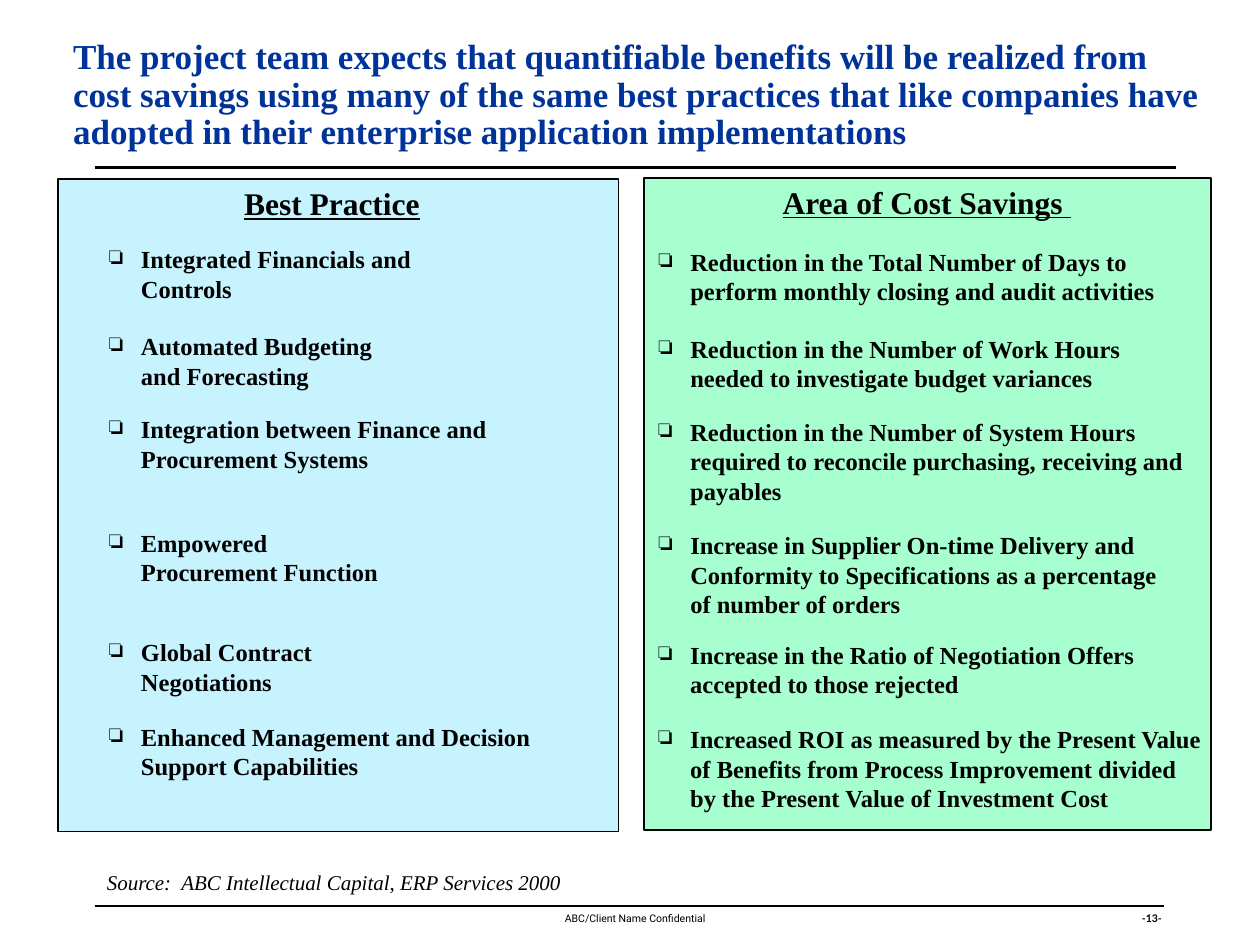
import dataclasses

import pptx
import pptx.dml.color
import pptx.enum.shapes
import pptx.enum.text
import pptx.oxml
import pptx.oxml.ns
import pptx.util

Inches = pptx.util.Inches
Pt = pptx.util.Pt
Align = pptx.enum.text.PP_ALIGN
Anchor = pptx.enum.text.MSO_ANCHOR


@dataclasses.dataclass(frozen=True)
class Theme:
    serif: str = "Times New Roman"
    footer_font: str = "Roboto"
    number_font: str = "Lato"
    ink: str = "000000"
    title_color: str = "003399"
    practice_fill: str = "C6F3FE"
    savings_fill: str = "A7FFCF"
    title_size: int = 20
    heading_size: int = 18
    body_size: int = 14
    source_size: int = 12
    footer_size: int = 6


THEME = Theme()

BENEFITS = [
    (1.89, "Integrated Financials and Controls", 2.63,
     "Reduction in the Total Number of Days to perform monthly closing and audit activities", 4.18),
    (2.58, "Automated Budgeting and Forecasting", 2.64,
     "Reduction in the Number of Work Hours needed to investigate budget variances", 4.18),
    (3.24, "Integration between Finance and Procurement Systems", 3.83,
     "Reduction in the Number of System Hours required to reconcile purchasing, "
     "receiving and payables", 4.4),
    (4.14, "Empowered Procurement Function", 2.54,
     "Increase in Supplier On-time Delivery and Conformity to Specifications "
     "as a percentage of number of orders", 4.25),
    (5.01, "Global Contract Negotiations", 2.15,
     "Increase in the Ratio of Negotiation Offers accepted to those rejected", 4.14),
    (5.68, "Enhanced Management and Decision Support Capabilities", 4.03,
     "Increased ROI as measured by the Present Value of Benefits from Process "
     "Improvement divided by the Present Value of Investment Cost", 4.56),
]


def rgb(color):
    return pptx.dml.color.RGBColor.from_string(color)


def add_bullet(paragraph, color):
    properties = paragraph._p.get_or_add_pPr()
    properties.set("marL", str(Inches(0.25)))
    properties.set("indent", str(-Inches(0.25)))
    namespace = pptx.oxml.ns.nsdecls("a")
    for xml in (
        f'<a:buClr {namespace}><a:srgbClr val="{color}"/></a:buClr>',
        f'<a:buChar {namespace} char="❏"/>',
    ):
        properties.append(pptx.oxml.parse_xml(xml))


def write_text(frame, text, size, font=THEME.serif, color=THEME.ink, bold=False,
               italic=False, underline=False, align=Align.LEFT, anchor=Anchor.TOP,
               line_spacing=None, bullet=False):
    frame.word_wrap = True
    frame.auto_size = pptx.enum.text.MSO_AUTO_SIZE.NONE
    frame.vertical_anchor = anchor
    paragraph = frame.paragraphs[0]
    paragraph.alignment = align
    if line_spacing:
        paragraph.line_spacing = line_spacing
    if bullet:
        add_bullet(paragraph, THEME.ink)
    run = paragraph.add_run()
    run.text = text
    run.font.name = font
    run.font.size = Pt(size)
    run.font.color.rgb = rgb(color)
    run.font.bold = bold
    run.font.italic = italic
    run.font.underline = underline


class SlideBuilder:
    def __init__(self, slide, theme):
        self.slide = slide
        self.theme = theme

    def title(self, text, left, top, width, height):
        heading = self.slide.shapes.title
        heading.left, heading.top = Inches(left), Inches(top)
        heading.width, heading.height = Inches(width), Inches(height)
        write_text(heading.text_frame, text, self.theme.title_size,
                   color=self.theme.title_color, bold=True,
                   anchor=Anchor.MIDDLE, line_spacing=0.9)

    def panel(self, left, top, width, height, fill):
        panel = self.slide.shapes.add_shape(
            pptx.enum.shapes.MSO_SHAPE.RECTANGLE,
            Inches(left), Inches(top), Inches(width), Inches(height))
        panel.shadow.inherit = False
        panel.fill.solid()
        panel.fill.fore_color.rgb = rgb(fill)
        panel.line.color.rgb = rgb(self.theme.ink)
        panel.line.width = Pt(1)

    def rule(self, left, right, top, weight):
        rule = self.slide.shapes.add_connector(
            pptx.enum.shapes.MSO_CONNECTOR.STRAIGHT,
            Inches(left), Inches(top), Inches(right), Inches(top))
        rule.line.color.rgb = rgb(self.theme.ink)
        rule.line.width = Pt(weight)
        rule._element.spPr.append(
            pptx.oxml.parse_xml(f'<a:effectLst {pptx.oxml.ns.nsdecls("a")}/>'))

    def text(self, text, left, top, width, height, size, **style):
        box = self.slide.shapes.add_textbox(
            Inches(left), Inches(top), Inches(width), Inches(height))
        write_text(box.text_frame, text, size, **style)

    def heading(self, text, left, top, width, height):
        self.text(text, left, top, width, height, self.theme.heading_size,
                  bold=True, underline=True, align=Align.CENTER)

    def bullet(self, text, left, top, width):
        self.text(text, left, top, width, 0.57, self.theme.body_size,
                  bold=True, bullet=True)


def main():
    deck = pptx.Presentation()
    deck.slide_width, deck.slide_height = Inches(10), Inches(7.5)
    builder = SlideBuilder(deck.slides.add_slide(deck.slide_layouts[5]), THEME)

    builder.text("ABC/Client Name Confidential", 0.83, 7.19, 8.42, 0.2,
                 THEME.footer_size, font=THEME.footer_font, align=Align.CENTER)
    builder.text("-13-", 7.92, 7.2, 1.4, 0.29, THEME.footer_size,
                 font=THEME.number_font, bold=True, align=Align.RIGHT, line_spacing=0.9)
    builder.rule(0.75, 9.24, 7.19, 1)
    builder.rule(0.75, 9.33, 1.33, 2)
    builder.panel(5.11, 1.41, 4.5, 5.18, THEME.savings_fill)
    builder.panel(0.46, 1.42, 4.45, 5.18, THEME.practice_fill)
    builder.title(
        "The project team expects that quantifiable benefits will be realized from cost "
        "savings using many of the same best practices that like companies have adopted "
        "in their enterprise application implementations", 0.48, 0.35, 9.25, 0.82)
    builder.text("Source:  ABC Intellectual Capital, ERP Services 2000",
                 0.75, 6.85, 5.87, 0.3, THEME.source_size, italic=True)
    builder.heading("Best Practice", 0.65, 1.41, 3.97, 0.51)
    builder.heading("Area of Cost Savings ", 5.22, 1.4, 4.27, 0.52)

    for top, practice, practice_width, saving, saving_width in BENEFITS:
        builder.bullet(practice, 0.77, top, practice_width)
        builder.bullet(saving, 5.13, top + 0.02, saving_width)

    deck.save("out.pptx")


if __name__ == "__main__":
    main()
